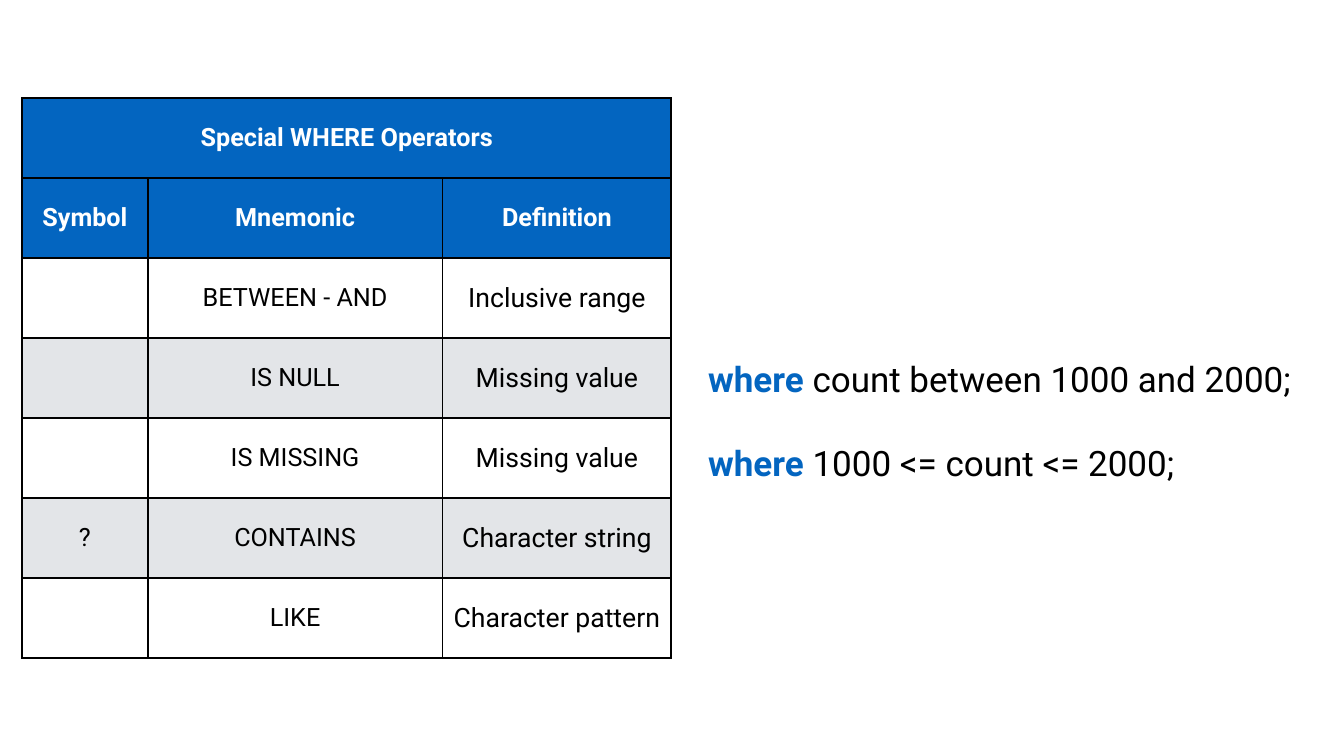
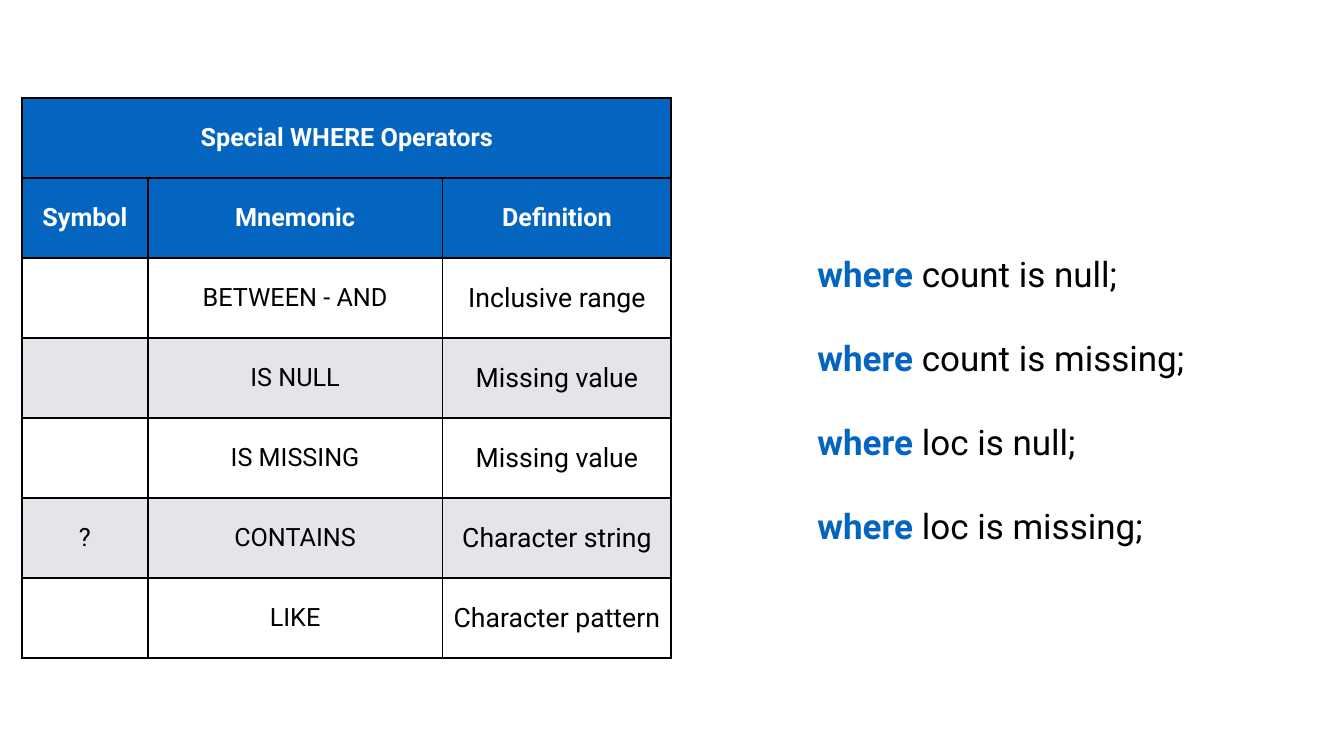
"""Build two slides that pair a table of WHERE operators with sample statements."""
from dataclasses import dataclass

from lxml.etree import SubElement
from pptx import Presentation
from pptx.dml.color import RGBColor
from pptx.enum.text import MSO_ANCHOR, MSO_AUTO_SIZE, PP_ALIGN
from pptx.oxml.ns import qn
from pptx.util import Pt


@dataclass(frozen=True)
class Theme:
    """Colours, font and sizes shared by the slides."""
    blue: RGBColor = RGBColor.from_string("0365C0")
    black: RGBColor = RGBColor.from_string("000000")
    white: RGBColor = RGBColor.from_string("FFFFFF")
    band: RGBColor = RGBColor.from_string("E3E5E8")
    font: str = "Roboto"
    cell_size: int = 36
    definition_size: int = 38
    code_size: int = 50
    border: int = 3
    inset: float = 4.3


THEME = Theme()
HEADER_ROWS = 2
DEFINITION_COL = 2
TABLE_BOX = (31.7, 140.4, 927.4, 800.1)
COLUMN_SHARES = (179.3, 421.2, 326.9)
OPERATORS = (
    ("Special WHERE Operators", "", ""),
    ("Symbol", "Mnemonic", "Definition"),
    ("", "BETWEEN - AND", "Inclusive range"),
    ("", "IS NULL", "Missing value"),
    ("", "IS MISSING", "Missing value"),
    ("?", "CONTAINS", "Character string"),
    ("", "LIKE", "Character pattern"),
)
SLIDES = (
    ((1007.3, 445.7, 862.6, 187.9), MSO_ANCHOR.TOP,
     ("count between 1000 and 2000;", "1000 <= count <= 2000;")),
    ((1163.5, 326.2, 542.2, 427.7), MSO_ANCHOR.MIDDLE,
     ("count is null;", "count is missing;", "loc is null;", "loc is missing;")),
)


def set_font(font, size, color, bold):
    """Apply the theme typeface with a size, colour and weight."""
    font.name = THEME.font
    font.size = Pt(size)
    font.color.rgb = color
    font.bold = bold


def set_insets(target):
    """Give a cell or text frame the same inset on all sides."""
    for side in ("left", "top", "right", "bottom"):
        setattr(target, f"margin_{side}", Pt(THEME.inset))


def set_borders(cell):
    """Draw a solid line on all four sides of a cell."""
    tc_pr = cell._tc.get_or_add_tcPr()
    for side in ("L", "R", "T", "B"):
        line = SubElement(tc_pr, qn(f"a:ln{side}"), w=str(Pt(THEME.border)))
        fill = SubElement(line, qn("a:solidFill"))
        SubElement(fill, qn("a:srgbClr"), val=str(THEME.black))


def format_cell(cell, row, col, text):
    """Fill in one cell and style it by its row and column."""
    header = row < HEADER_ROWS
    set_borders(cell)
    set_insets(cell)
    cell.fill.solid()
    banded = THEME.band if row % 2 else THEME.white
    cell.fill.fore_color.rgb = THEME.blue if header else banded
    cell.vertical_anchor = MSO_ANCHOR.MIDDLE
    cell.text = text
    p = cell.text_frame.paragraphs[0]
    p.alignment = PP_ALIGN.CENTER
    definition = col == DEFINITION_COL and not header
    size = THEME.definition_size if definition else THEME.cell_size
    set_font(p.font, size, THEME.white if header else THEME.black, header)


def add_operator_table(slide, box):
    """Place the operator table in the given box."""
    width, height = box[2:]
    frame = slide.shapes.add_table(len(OPERATORS), len(COLUMN_SHARES), *map(Pt, box))
    table = frame.table
    table.first_row = table.horz_banding = False
    for column, share in zip(table.columns, COLUMN_SHARES):
        column.width = Pt(width * share / sum(COLUMN_SHARES))
    for row in table.rows:
        row.height = Pt(height / len(OPERATORS))
    table.cell(0, 0).merge(table.cell(0, len(COLUMN_SHARES) - 1))
    for row, texts in enumerate(OPERATORS):
        for col, text in enumerate(texts):
            format_cell(table.cell(row, col), row, col, text)


def add_statements(slide, box, anchor, conditions):
    """Place one where statement per line in the given box."""
    tf = slide.shapes.add_textbox(*map(Pt, box)).text_frame
    tf.word_wrap = False
    tf.auto_size = MSO_AUTO_SIZE.SHAPE_TO_FIT_TEXT
    tf.vertical_anchor = anchor
    set_insets(tf)
    for i, condition in enumerate(conditions):
        p = tf.add_paragraph() if i else tf.paragraphs[0]
        p.line_spacing = 2.0
        for text, color, bold in (("where", THEME.blue, True),
                                  (f" {condition}", THEME.black, False)):
            r = p.add_run()
            r.text = text
            set_font(r.font, THEME.code_size, color, bold)


def add_operator_slide(prs, box, anchor, conditions):
    """Add a slide with the table on the left and statements on the right."""
    slide = prs.slides.add_slide(prs.slide_layouts.get_by_name("Blank"))
    slide.background.fill.solid()
    slide.background.fill.fore_color.rgb = THEME.white
    add_operator_table(slide, TABLE_BOX)
    add_statements(slide, box, anchor, conditions)


def main():
    """Build and save the presentation."""
    prs = Presentation()
    prs.slide_width, prs.slide_height = Pt(1920), Pt(1080)
    for box, anchor, conditions in SLIDES:
        add_operator_slide(prs, box, anchor, conditions)
    prs.save("out.pptx")


if __name__ == "__main__":
    main()
